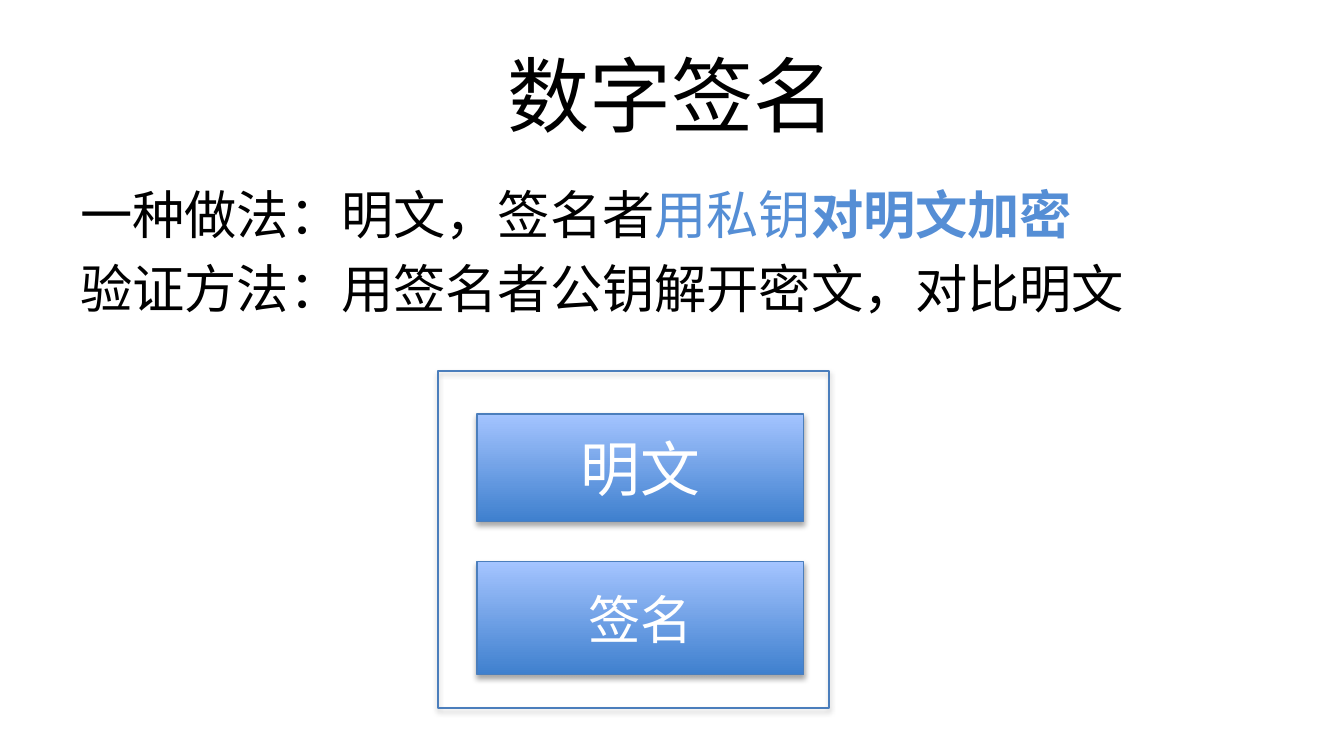
from lxml.etree import SubElement
from pptx import Presentation
from pptx.dml.color import RGBColor
from pptx.enum.shapes import MSO_SHAPE
from pptx.enum.text import MSO_ANCHOR, PP_ALIGN
from pptx.oxml.ns import qn
from pptx.util import Inches, Pt

WIDTH = 10
HEIGHT = WIDTH * 9 / 16
FONT = "Calibri"
COLORS = {
    "text": "000000",
    "accent": "558ED5",
    "white": "FFFFFF",
    "line": "4B7EBC",
    "deep": "3F80CE",
    "light": "A4C4FF",
    "shadow": "000000",
}

TITLE = "数字签名"
METHODS = [
    [("一种做法：明文，签名者", "text", False),
     ("用私钥", "accent", False),
     ("对明文加密", "accent", True)],
    [("验证方法：用签名者公钥解开密文，对比明文", "text", False)],
]
BLOCKS = [("明文", 32, 3.08, 0.8), ("签名", 28, 4.18, 0.84)]

MARGIN = 0.05 * WIDTH
CONTENT_WIDTH = WIDTH - 2 * MARGIN
TITLE_AREA = (MARGIN, 0.23, CONTENT_WIDTH, 0.94)
BODY_AREA = (MARGIN, 1.31, CONTENT_WIDTH, 3.71)
FRAME_AREA = (3.26, 2.76, 2.91, 2.51)
BLOCK_LEFT, BLOCK_WIDTH = 3.55, 2.43
BODY_SIZE = 28


def color(name):
    return RGBColor.from_string(COLORS[name])


def style(span, size, name, bold=False):
    span.font.name = FONT
    span.font.size = Pt(size)
    span.font.bold = bold
    span.font.color.rgb = color(name)


def add_text_box(page, area):
    box = page.shapes.add_textbox(*map(Inches, area))
    box.text_frame.word_wrap = True
    return box


def write_centered(shape, text, size, name):
    frame = shape.text_frame
    frame.text = text
    frame.vertical_anchor = MSO_ANCHOR.MIDDLE
    para = frame.paragraphs[0]
    para.alignment = PP_ALIGN.CENTER
    style(para.runs[0], size, name)


def add_rectangle(page, area):
    shape = page.shapes.add_shape(MSO_SHAPE.RECTANGLE, *map(Inches, area))
    shape.line.color.rgb = color("line")
    shape.line.width = Pt(0.75)
    shape.fill.background()
    shape.shadow.inherit = False
    effects = shape.element.spPr.find(qn("a:effectLst"))
    shadow = SubElement(effects, qn("a:outerShdw"), blurRad=str(Pt(3.1)),
                        dist=str(Pt(1.8)), dir="5400000", rotWithShape="0")
    tint = SubElement(shadow, qn("a:srgbClr"), val=COLORS["shadow"])
    SubElement(tint, qn("a:alpha"), val="35000")
    return shape


def fill_gradient(shape):
    shape.fill.gradient()
    shape.fill.gradient_angle = 90
    for stop, name in zip(shape.fill.gradient_stops, ("deep", "light")):
        stop.color.rgb = color(name)


def add_methods(page):
    frame = add_text_box(page, BODY_AREA).text_frame
    for index, parts in enumerate(METHODS):
        para = frame.add_paragraph() if index else frame.paragraphs[0]
        para.space_before = Pt(0.2 * BODY_SIZE if index else 0)
        for text, name, bold in parts:
            span = para.add_run()
            span.text = text
            style(span, BODY_SIZE, name, bold)


def main():
    deck = Presentation()
    deck.slide_width, deck.slide_height = Inches(WIDTH), Inches(HEIGHT)
    page = deck.slides.add_slide(deck.slide_layouts[6])
    write_centered(add_text_box(page, TITLE_AREA), TITLE, 44, "text")
    add_methods(page)
    add_rectangle(page, FRAME_AREA)
    for text, size, top, height in BLOCKS:
        block = add_rectangle(page, (BLOCK_LEFT, top, BLOCK_WIDTH, height))
        fill_gradient(block)
        write_centered(block, text, size, "white")
    deck.save("out.pptx")


if __name__ == "__main__":
    main()
